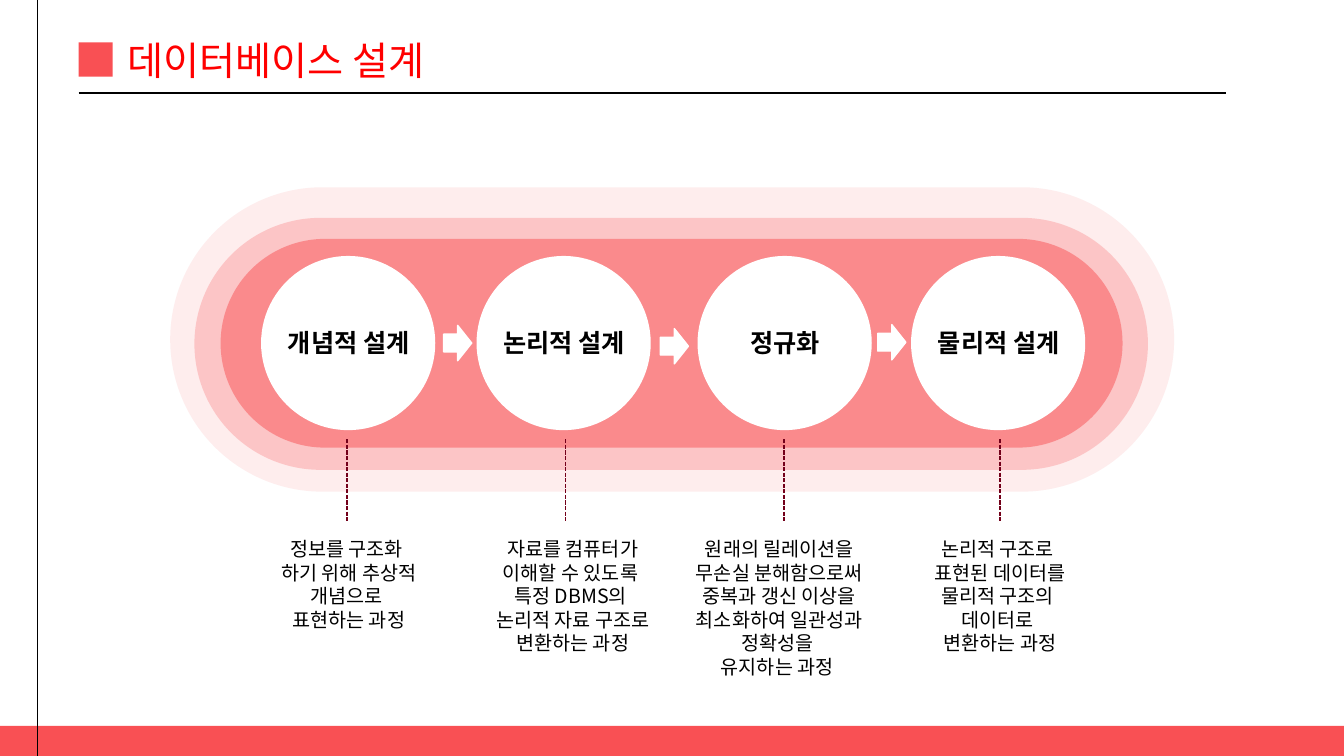
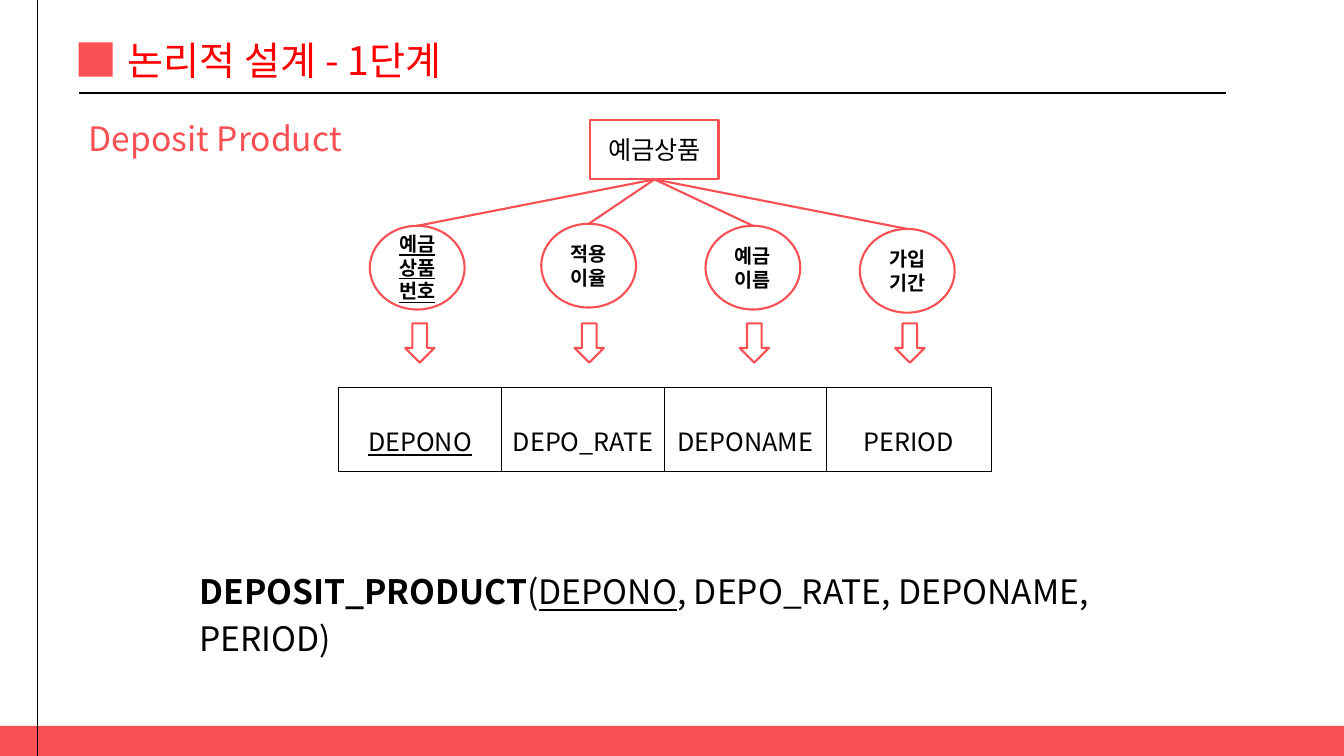
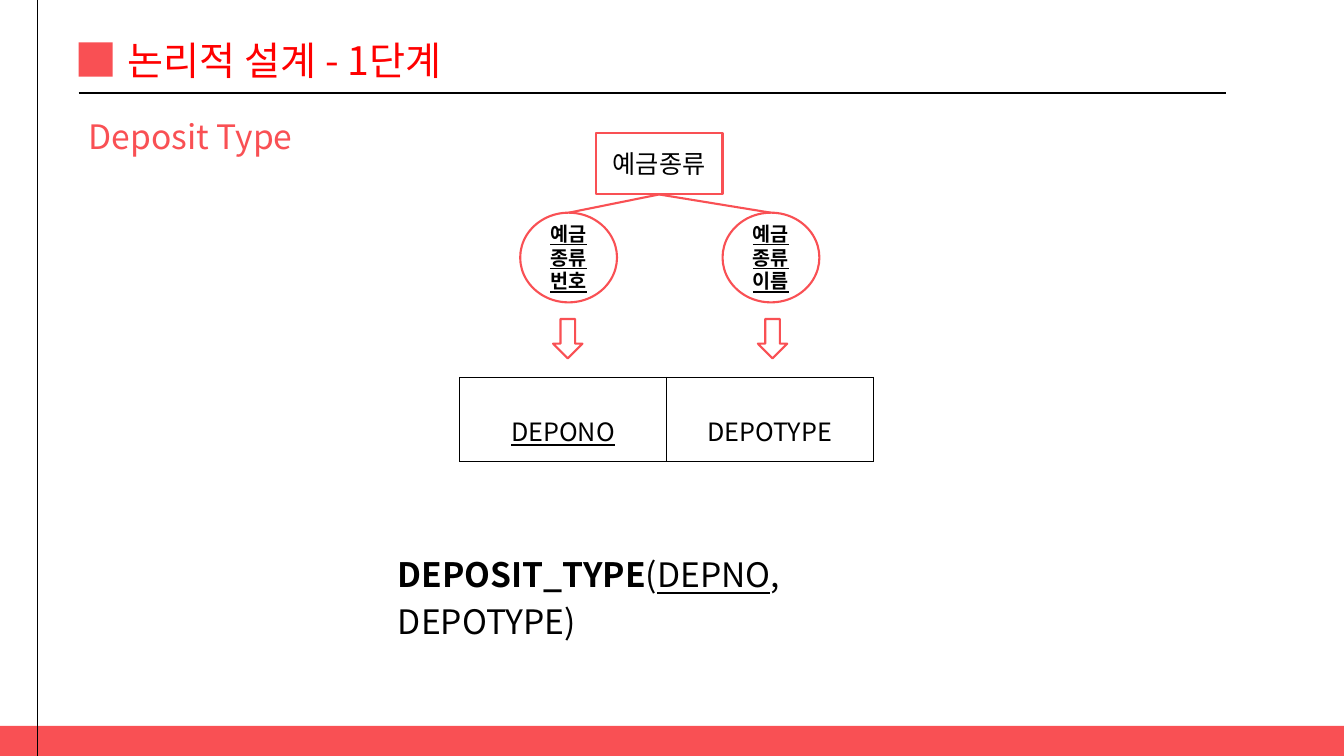
from dataclasses import dataclass
from typing import Optional

from lxml import etree
from pptx import Presentation
from pptx import util as u
from pptx.dml import color
from pptx.enum import dml, shapes, text
from pptx.oxml import ns

Cm = u.Cm
FONT = "Noto Sans CJK KR"
COLORS = {
    "accent": "F95054",
    "title": "FF0000",
    "ink": "000000",
    "paper": "FFFFFF",
    "dash": "73001A",
}
WIDTH, HEIGHT = 33.87, 19.05
CENTER = text.PP_ALIGN.CENTER
LEFT = text.PP_ALIGN.LEFT


@dataclass(frozen=True)
class Box:
    left: float
    top: float
    width: float
    height: float

    def lengths(self) -> tuple:
        return Cm(self.left), Cm(self.top), Cm(self.width), Cm(self.height)


@dataclass(frozen=True)
class Span:
    words: str
    bold: bool = False
    underline: bool = False


@dataclass(frozen=True)
class Stage:
    name: str
    circle_left: float
    dash_x: float
    note: Box
    note_lines: tuple


@dataclass(frozen=True)
class Attribute:
    lines: tuple
    left: float
    top: float
    arrow_left: float
    column: str
    column_width: float
    key: bool = False
    column_key: bool = False


@dataclass(frozen=True)
class Relation:
    heading: str
    heading_box: Box
    entity: str
    entity_box: Box
    oval_size: tuple
    arrow_top: float
    table_left: float
    table_top: float
    attributes: tuple
    formula_box: Box
    formula: tuple


STAGES = (
    Stage("개념적 설계", 6.58, 8.74, Box(6.58, 13.41, 4.42, 2.64),
          ("정보를 구조화 ", "하기 위해 추상적 개념으로 ", "표현하는 과정")),
    Stage("논리적 설계", 12.01, 14.25, Box(11.96, 13.41, 4.95, 3.25),
          ("자료를 컴퓨터가 이해할 수 있도록 ", "특정 DBMS의 ", "논리적 자료 구조로 변환하는 과정")),
    Stage("정규화", 17.58, 19.76, Box(17.04, 13.41, 5.21, 3.84),
          ("원래의 릴레이션을 무손실 분해함으로써 중복과 갱신 이상을 최소화하여 일관성과 정확성을 ",
           "유지하는 과정 ")),
    Stage("물리적 설계", 22.96, 25.2, Box(22.99, 13.41, 4.42, 3.25),
          ("논리적 구조로 ", "표현된 데이터를 물리적 구조의 ", "데이터로 ", "변환하는 과정")),
)
PILLS = (
    (Box(4.29, 4.72, 25.3, 7.67), 10),
    (Box(4.9, 5.49, 24.03, 6.35), 25),
    (Box(5.56, 6.02, 22.73, 5.26), 50),
)
STAGE_ARROWS = ((11.18, 8.2), (16.64, 8.28), (22.12, 8.18))

RELATIONS = (
    Relation(
        "Deposit Product", Box(1.98, 2.84, 8.99, 2.13),
        "예금상품", Box(14.88, 3.02, 3.23, 1.5),
        (2.39, 2.11), 8.15, 8.53, 9.75,
        (
            Attribute(("예금상품번호",), 9.32, 5.69, 10.21, "DEPONO", 4.11, True, True),
            Attribute(("적용이율",), 13.64, 5.64, 14.48, "DEPO_RATE", 4.11),
            Attribute(("예금이름",), 17.78, 5.69, 18.64, "DEPONAME", 4.06),
            Attribute(("가입기간",), 21.67, 5.77, 22.56, "PERIOD", 4.17),
        ),
        Box(4.78, 14.12, 25.96, 1.35),
        (Span("DEPOSIT_PRODUCT", bold=True), Span("("), Span("DEPONO", underline=True),
         Span(", DEPO_RATE, DEPONAME, PERIOD)")),
    ),
    Relation(
        "Deposit Type", Box(1.98, 2.79, 8.99, 1.27),
        "예금종류", Box(15.01, 3.35, 3.2, 1.55),
        (2.44, 2.26), 8.04, 11.58, 9.5,
        (
            Attribute(("예금", "종류", "번호"), 13.11, 5.36, 13.94, "DEPONO", 5.21, True, True),
            Attribute(("예금", "종류이름"), 18.21, 5.36, 19.1, "DEPOTYPE", 5.21, True),
        ),
        Box(9.78, 13.69, 14.33, 1.35),
        (Span("DEPOSIT_TYPE", bold=True), Span("("), Span("DEPNO", underline=True),
         Span(", DEPOTYPE)")),
    ),
)


def rgb(name: str) -> color.RGBColor:
    return color.RGBColor.from_string(COLORS[name])


def write(frame, paragraphs, size: float, ink: str = "ink", align=CENTER) -> None:
    frame.word_wrap = True
    for index, spans in enumerate(paragraphs):
        para = frame.paragraphs[0] if index == 0 else frame.add_paragraph()
        para.alignment = align
        for span in spans:
            run = para.add_run()
            run.text = span.words
            font = run.font
            font.name = FONT
            font.size = u.Pt(size)
            font.bold = span.bold
            font.underline = span.underline
            font.color.rgb = rgb(ink)
            etree.SubElement(run._r.get_or_add_rPr(), ns.qn("a:ea"), typeface=FONT)


def add_shape(page, kind, box: Box, fill: Optional[str] = None,
              line: Optional[str] = None, weight: float = 1.5):
    shape = page.shapes.add_shape(kind, *box.lengths())
    shape.shadow.inherit = False
    if fill:
        shape.fill.solid()
        shape.fill.fore_color.rgb = rgb(fill)
    else:
        shape.fill.background()
    if line:
        shape.line.color.rgb = rgb(line)
        shape.line.width = u.Pt(weight)
    else:
        shape.line.fill.background()
    return shape


def add_line(page, start: tuple, end: tuple, ink: str = "ink", weight: float = 1):
    points = [Cm(value) for value in (*start, *end)]
    line = page.shapes.add_connector(shapes.MSO_CONNECTOR.STRAIGHT, *points)
    line.line.color.rgb = rgb(ink)
    line.line.width = u.Pt(weight)
    etree.SubElement(line._element.spPr, ns.qn("a:effectLst"))
    return line


def add_text(page, box: Box, paragraphs, size: float, align=CENTER):
    frame = page.shapes.add_textbox(*box.lengths()).text_frame
    write(frame, paragraphs, size, align=align)
    return frame


def fill_placeholder(holder, box: Box, words: str, size: float, ink: str) -> None:
    holder.left, holder.top, holder.width, holder.height = box.lengths()
    frame = holder.text_frame
    frame.auto_size = text.MSO_AUTO_SIZE.NONE
    frame.vertical_anchor = text.MSO_ANCHOR.TOP
    write(frame, [(Span(words),)], size, ink, LEFT)
    para = frame.paragraphs[0]
    para.space_before = u.Pt(0)
    properties = para._p.get_or_add_pPr()
    properties.set("marL", "0")
    properties.set("indent", "0")
    etree.SubElement(properties, ns.qn("a:buNone"))


def add_page(deck, layout: int, title: str):
    page = deck.slides.add_slide(deck.slide_layouts[layout])
    rect = shapes.MSO_SHAPE.RECTANGLE
    add_shape(page, rect, Box(0, 18.29, WIDTH, 0.76), "accent")
    add_line(page, (0.94, 0), (0.94, HEIGHT))
    add_line(page, (1.98, 2.34), (30.89, 2.34))
    add_shape(page, rect, Box(1.98, 1.07, 0.86, 0.86), "accent")
    fill_placeholder(page.shapes.title, Box(2.97, 0.79, 10.72, 1.45), title, 28, "title")
    return page


def add_pill(page, box: Box, opacity: int) -> None:
    pill = add_shape(page, shapes.MSO_SHAPE.ROUNDED_RECTANGLE, box, "accent")
    pill.adjustments[0] = 0.5
    shade = next(pill._element.spPr.iter(ns.qn("a:srgbClr")))
    etree.SubElement(shade, ns.qn("a:alpha"), val=str(opacity * 1000))


def add_stage(page, stage: Stage) -> None:
    add_shape(page, shapes.MSO_SHAPE.OVAL, Box(stage.circle_left, 6.45, 4.39, 4.39), "paper")
    add_text(page, Box(stage.circle_left, 8.13, 4.42, 1.02), [(Span(stage.name, bold=True),)], 18)
    add_text(page, stage.note, [(Span(words),) for words in stage.note_lines], 14)
    dash = add_line(page, (stage.dash_x, 11.07), (stage.dash_x, 13.16), "dash")
    dash.line.dash_style = dml.MSO_LINE.SQUARE_DOT


def add_process_page(deck) -> None:
    page = add_page(deck, 5, "데이터베이스 설계")
    for box, opacity in PILLS:
        add_pill(page, box, opacity)
    for stage in STAGES:
        add_stage(page, stage)
    for left, top in STAGE_ARROWS:
        add_shape(page, shapes.MSO_SHAPE.RIGHT_ARROW, Box(left, top, 0.71, 0.89),
                  "paper", "paper", 1)


def add_borders(cell) -> None:
    properties = cell._tc.get_or_add_tcPr()
    for side in "LRTB":
        border = etree.SubElement(properties, ns.qn(f"a:ln{side}"), w=str(u.Pt(0.28)))
        fill = etree.SubElement(border, ns.qn("a:solidFill"))
        etree.SubElement(fill, ns.qn("a:srgbClr"), val=COLORS["ink"])


def add_columns(page, relation: Relation) -> None:
    attributes = relation.attributes
    box = Box(relation.table_left, relation.table_top,
              sum(item.column_width for item in attributes), 2.13)
    table = page.shapes.add_table(1, len(attributes), *box.lengths()).table
    table.first_row = table.horz_banding = False
    for index, item in enumerate(attributes):
        table.columns[index].width = Cm(item.column_width)
        cell = table.cell(0, index)
        cell.margin_left = cell.margin_right = Cm(0.18)
        cell.margin_top = cell.margin_bottom = Cm(0.05)
        cell.vertical_anchor = text.MSO_ANCHOR.MIDDLE
        add_borders(cell)
        cell.fill.background()
        write(cell.text_frame, [(Span(item.column, underline=item.column_key),)], 18)
        cell.text_frame.paragraphs[0].line_spacing = 1.6


def add_attribute(page, item: Attribute, relation: Relation, entity) -> None:
    oval = add_shape(page, shapes.MSO_SHAPE.OVAL,
                     Box(item.left, item.top, *relation.oval_size), line="accent")
    oval.text_frame.vertical_anchor = text.MSO_ANCHOR.MIDDLE
    write(oval.text_frame, [(Span(words, True, item.key),) for words in item.lines], 14)
    link = add_line(page, (0, 0), (1, 1), "accent", 1.5)
    link.begin_connect(entity, 2)
    link.end_connect(oval, 0)
    add_shape(page, shapes.MSO_SHAPE.DOWN_ARROW,
              Box(item.arrow_left, relation.arrow_top, 0.74, 0.99), "paper", "accent")


def add_relation_page(deck, relation: Relation) -> None:
    page = add_page(deck, 1, "논리적 설계 - 1단계")
    fill_placeholder(page.placeholders[1], relation.heading_box, relation.heading, 24, "accent")
    add_columns(page, relation)
    entity = add_shape(page, shapes.MSO_SHAPE.RECTANGLE, relation.entity_box, "paper", "accent")
    entity.text_frame.vertical_anchor = text.MSO_ANCHOR.MIDDLE
    write(entity.text_frame, [(Span(relation.entity),)], 18)
    for item in relation.attributes:
        add_attribute(page, item, relation, entity)
    para = add_text(page, relation.formula_box, [relation.formula], 24, LEFT).paragraphs[0]
    para.line_spacing = 1.15
    para.space_after = u.Pt(10)


def main() -> None:
    deck = Presentation()
    deck.slide_width, deck.slide_height = Cm(WIDTH), Cm(HEIGHT)
    add_process_page(deck)
    for relation in RELATIONS:
        add_relation_page(deck, relation)
    deck.save("out.pptx")


if __name__ == "__main__":
    main()
